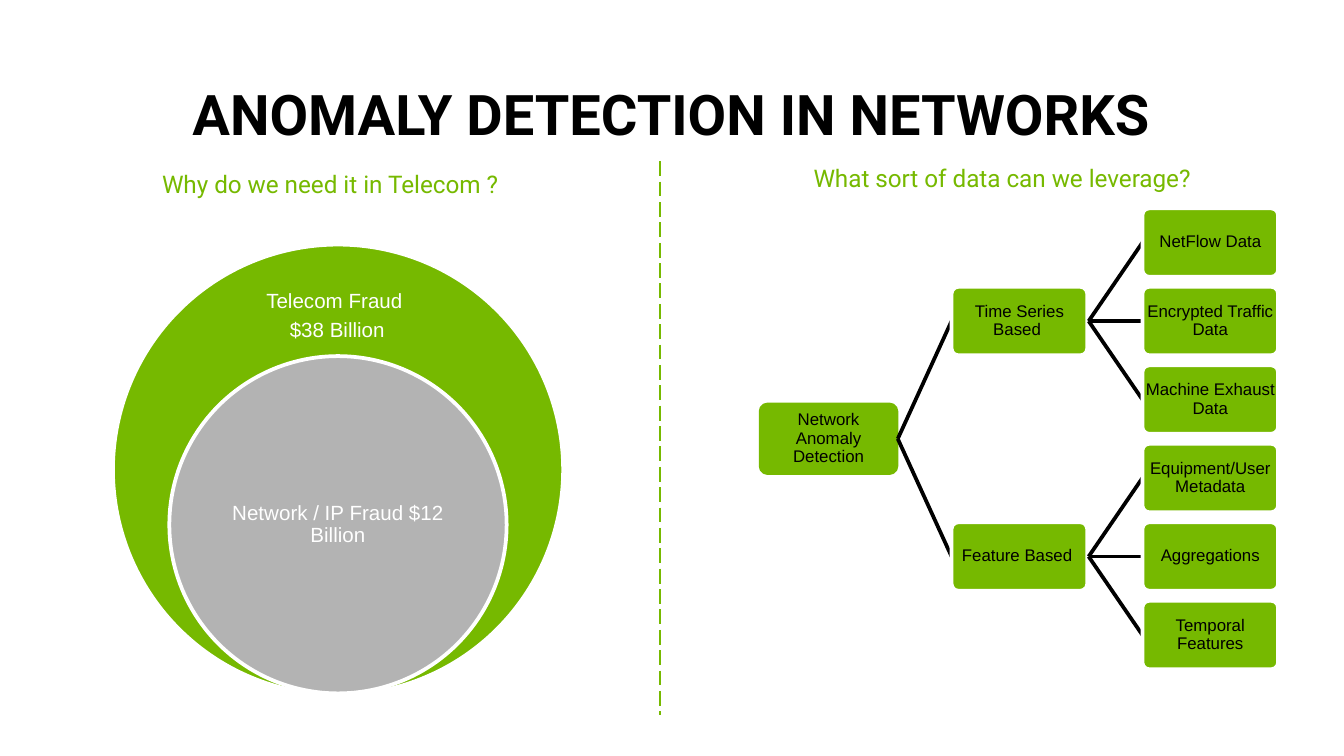
from pptx import Presentation
from pptx.dml.color import RGBColor
from pptx.enum.dml import MSO_LINE
from pptx.enum.shapes import MSO_CONNECTOR, MSO_SHAPE
from pptx.enum.text import MSO_ANCHOR, PP_ALIGN
from pptx.oxml.ns import qn
from pptx.util import Inches, Pt

ROUND, OVAL = MSO_SHAPE.ROUNDED_RECTANGLE, MSO_SHAPE.OVAL
STRAIGHT, DASH = MSO_CONNECTOR.STRAIGHT, MSO_LINE.LONG_DASH
TOP, MIDDLE, BOTTOM = MSO_ANCHOR.TOP, MSO_ANCHOR.MIDDLE, MSO_ANCHOR.BOTTOM
CENTER = PP_ALIGN.CENTER

COLORS = {"green": "76B900", "gray": "B3B3B3", "white": "FFFFFF", "black": "000000"}
WIDE = 10
HIGH = WIDE * 9 / 16
LEFT, STEP = 5.66, 1.42
UP, ROW = 1.55, 2.92 / 5
BOX_W, BOX_H = 1.01, 0.51

TITLE = {"name": "Roboto", "size": Pt(30), "bold": True}
HEAD = {"name": "Roboto", "size": Pt(13)}
NODE = {"name": "Arial", "size": Pt(9)}
RING = {"name": "Arial", "size": Pt(11)}

TREE = ("Network Anomaly Detection", 2.5, [
    ("Time Series Based ", 1, [
        ("NetFlow Data", 0, []),
        ("Encrypted Traffic Data", 1, []),
        ("Machine Exhaust Data", 2, []),
    ]),
    ("Feature Based ", 4, [
        ("Equipment/User Metadata", 3, []),
        ("Aggregations", 4, []),
        ("Temporal Features", 5, []),
    ]),
])


def color(key):
    return RGBColor.from_string(COLORS[key])


def write(shape, lines, font, tint, anchor, pad):
    frame = shape.text_frame
    frame.word_wrap = True
    frame.vertical_anchor = anchor
    frame.margin_left = frame.margin_right = Inches(pad[0])
    frame.margin_top = frame.margin_bottom = Inches(pad[1])
    for index, line in enumerate(lines):
        para = frame.add_paragraph() if index else frame.paragraphs[0]
        para.text = line
        para.alignment = CENTER
        para.line_spacing = 0.9
        if index:
            para.space_before = Pt(4)
        for key, value in font.items():
            setattr(para.font, key, value)
        para.font.color.rgb = color(tint)


def add_label(slide, area, lines, font, tint, anchor=TOP, pad=(0.08, 0.04)):
    box = slide.shapes.add_textbox(*map(Inches, area))
    write(box, lines, font, tint, anchor, pad)


def add_form(slide, kind, area, fill, edge):
    shape = slide.shapes.add_shape(kind, *map(Inches, area))
    shape.shadow.inherit = False
    shape.fill.solid()
    shape.fill.fore_color.rgb = color(fill)
    shape.line.color.rgb = color(edge)
    shape.line.width = Pt(2)
    return shape


def add_line(slide, ends, tint, width, dash=None):
    line = slide.shapes.add_connector(STRAIGHT, *map(Inches, ends))
    line.line.color.rgb = color(tint)
    line.line.width = Pt(width)
    if dash:
        line.line.dash_style = dash
    props = line._element.spPr
    props.append(props.makeelement(qn("a:effectLst"), {}))


def add_node(slide, node, level=0):
    label, row, kids = node
    x, y = LEFT + level * STEP, UP + row * ROW
    shape = add_form(slide, ROUND, (x, y, BOX_W, BOX_H), "green",
                     "white" if level else "green")
    shape.adjustments[0] = 0.1
    write(shape, [label], NODE, "black", MIDDLE, (0.01, 0.01))
    for kid in kids:
        start, stop = y + BOX_H / 2, UP + kid[1] * ROW + BOX_H / 2
        add_line(slide, (x + BOX_W + 0.01, start, x + STEP, stop), "black", 2)
        add_node(slide, kid, level + 1)


def add_rings(slide):
    add_form(slide, OVAL, (0.84, 1.82, 3.35, 3.35), "green", "white")
    add_label(slide, (1.63, 2.07, 1.76, 0.57), ["Telecom Fraud ", "$38 Billion"],
              RING, "white", MIDDLE, (0.08, 0.08))
    inner = add_form(slide, OVAL, (1.26, 2.65, 2.51, 2.51), "gray", "white")
    write(inner, ["Network / IP Fraud $12 Billion"], RING, "white", MIDDLE, (0.08, 0.08))


def main():
    deck = Presentation()
    deck.slide_width, deck.slide_height = Inches(WIDE), Inches(HIGH)
    slide = deck.slides.add_slide(deck.slide_layouts[6])
    add_label(slide, (0.45, 0.6, 9.09, 0.54), ["ANOMALY DETECTION IN NETWORKS"],
              TITLE, "black", BOTTOM)
    add_node(slide, TREE)
    add_label(slide, (0, 1.24, 4.91, 0.48), ["Why do we need it in Telecom ?"], HEAD, "green")
    add_rings(slide)
    add_line(slide, (4.91, 1.2, 4.91, 5.32), "green", 1, DASH)
    add_label(slide, (5, 1.2, 4.91, 0.48), ["What sort of data can we leverage?"], HEAD, "green")
    deck.save("out.pptx")


if __name__ == "__main__":
    main()
